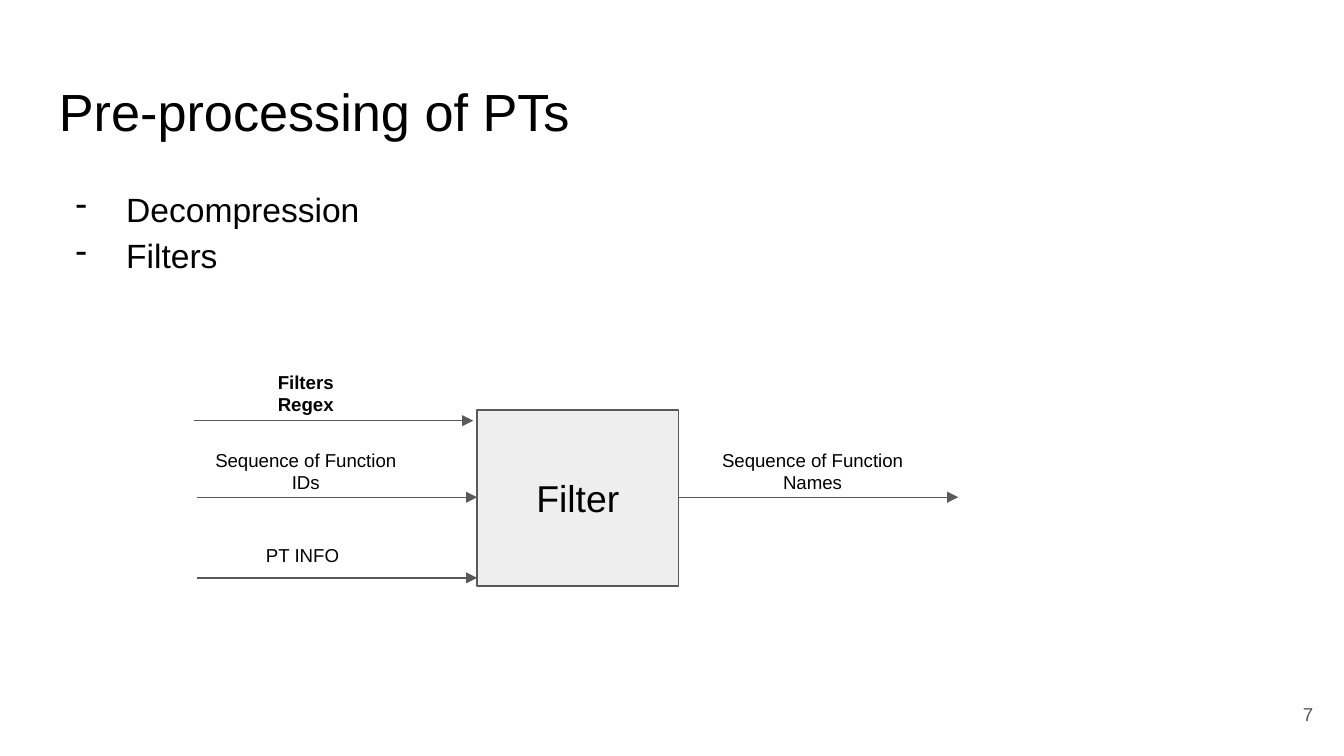
"""Build the slide on pre-processing of PTs with its filter diagram."""
from pptx import Presentation
from pptx.dml.color import RGBColor
from pptx.enum.shapes import MSO_CONNECTOR, MSO_SHAPE
from pptx.enum.text import MSO_ANCHOR, PP_ALIGN
from pptx.oxml.ns import qn
from pptx.util import Pt
from lxml.etree import SubElement

BLACK = RGBColor(0x00, 0x00, 0x00)
GRAY = RGBColor(0x59, 0x59, 0x59)
PALE = RGBColor(0xEE, 0xEE, 0xEE)
INSET = Pt(7.2)
FRAME = {"word_wrap": True, "margin_left": INSET, "margin_right": INSET,
         "margin_top": INSET, "margin_bottom": INSET}
LABEL = {"size": Pt(10)}


def assign(target, values):
    for name, value in values.items():
        setattr(target, name, value)


def write(shape, lines, font, align=PP_ALIGN.LEFT, anchor=MSO_ANCHOR.TOP,
          color=BLACK):
    frame = shape.text_frame
    assign(frame, FRAME | {"vertical_anchor": anchor})
    frame.text = "\n".join(lines)
    for para in frame.paragraphs:
        para.alignment = align
        for run in para.runs:
            assign(run.font, {"name": "Arial"} | font)
            run.font.color.rgb = color
    return frame


def add_text(slide, box, lines, font, **style):
    shape = slide.shapes.add_textbox(*map(Pt, box))
    return write(shape, lines, font, **style)


def add_list(slide, box, lines, font):
    for para in add_text(slide, box, lines, font).paragraphs:
        props = para._p.get_or_add_pPr()
        props.set("marL", str(Pt(36)))
        props.set("indent", str(-Pt(27)))
        SubElement(props, qn("a:buChar"), char="-")
        para.line_spacing = 1.15


def add_block(slide, box, lines, font):
    shape = slide.shapes.add_shape(MSO_SHAPE.RECTANGLE, *map(Pt, box))
    shape.shadow.inherit = False
    shape.fill.solid()
    shape.fill.fore_color.rgb = PALE
    shape.line.color.rgb = GRAY
    shape.line.width = Pt(0.75)
    write(shape, lines, font, PP_ALIGN.CENTER, MSO_ANCHOR.MIDDLE)


def add_arrow(slide, left, top, width=149.8):
    ends = map(Pt, (left, top, left + width, top))
    arrow = slide.shapes.add_connector(MSO_CONNECTOR.STRAIGHT, *ends)
    arrow.line.color.rgb = GRAY
    arrow.line.width = Pt(0.75)
    SubElement(arrow.line._get_or_add_ln(), qn("a:tailEnd"), type="triangle",
               w="med", len="med")
    SubElement(arrow._element.spPr, qn("a:effectLst"))


def main():
    deck = Presentation()
    assign(deck, {"slide_width": Pt(720), "slide_height": Pt(405)})
    slide = deck.slides.add_slide(deck.slide_layouts[6])

    add_text(slide, (24.5, 35.3, 671, 45.4), ["Pre-processing of PTs"],
             {"size": Pt(28)})
    add_list(slide, (24.5, 90.7, 671, 269.3), ["Decompression", "Filters"],
             {"size": Pt(18)})
    add_block(slide, (255.6, 219.6, 108, 94.3), ["Filter"], {"size": Pt(20)})

    for left, top in ((103.7, 225.4), (105.8, 266.4), (105.8, 309.6),
                      (363.6, 266.4)):
        add_arrow(slide, left, top)

    labels = (
        ((105.8, 191.5, 116, 33.8), ["Filters", "Regex"], {"bold": True}),
        ((121.7, 285.1, 83.5, 21.6), ["PT INFO "], {}),
        ((105.8, 233.3, 116, 33.8), ["Sequence of Function IDs"], {}),
        ((377.3, 233.3, 116, 33.8), ["Sequence of Function Names"], {}),
    )
    for box, lines, extra in labels:
        add_text(slide, box, lines, LABEL | extra, align=PP_ALIGN.CENTER)

    add_text(slide, (667.4, 367.2, 43.2, 31), ["7"], LABEL,
             align=PP_ALIGN.RIGHT, anchor=MSO_ANCHOR.MIDDLE, color=GRAY)
    deck.save("out.pptx")


if __name__ == "__main__":
    main()
